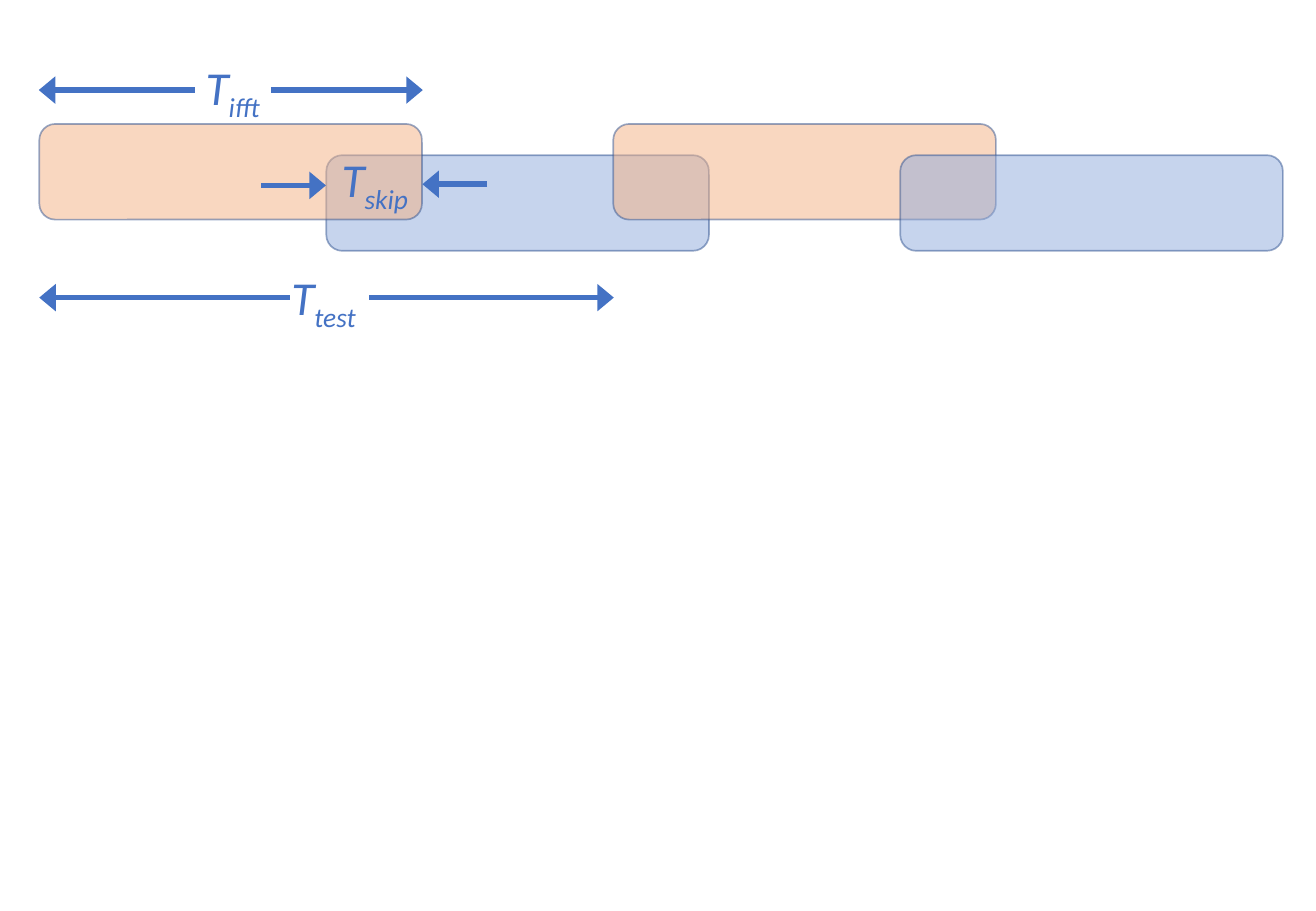
"""Build a timing diagram of four overlapping test windows."""
from lxml import etree
from pptx import Presentation
from pptx.dml.color import RGBColor
from pptx.enum import shapes, text
from pptx.oxml import ns
from pptx.util import Pt

BLUE = "4472C4"
OUTLINE = "325491"
WINDOW_WIDTH, WINDOW_HEIGHT = 226.8, 56.7
FIRST_LEFT, WINDOW_STEP = 23.3, 170.1
ORANGE_ROW = (73.5, "F4B183")
BLUE_ROW = (92, "8FAADC")


def paint(color_format, color):
    color_format.rgb = RGBColor.from_string(color)


def make_half_transparent(fill_parent):
    color = fill_parent.find(ns.qn("a:solidFill")).find(ns.qn("a:srgbClr"))
    etree.SubElement(color, ns.qn("a:alpha"), val="50000")


presentation = Presentation()
presentation.slide_width, presentation.slide_height = Pt(780), Pt(540)
slide = presentation.slides.add_slide(presentation.slide_layouts[6])

for position in (1, 2, 0, 3):
    top, color = BLUE_ROW if position % 2 else ORANGE_ROW
    window = slide.shapes.add_shape(
        shapes.MSO_SHAPE.ROUNDED_RECTANGLE,
        Pt(FIRST_LEFT + position * WINDOW_STEP), Pt(top),
        Pt(WINDOW_WIDTH), Pt(WINDOW_HEIGHT))
    window.shadow.inherit = False
    window.fill.solid()
    paint(window.fill.fore_color, color)
    window.line.width = Pt(1)
    window.line.fill.solid()
    paint(window.line.fill.fore_color, OUTLINE)
    properties = window._element.spPr
    make_half_transparent(properties)
    make_half_transparent(properties.find(ns.qn("a:ln")))

arrows = [
    (115.4, 23, 53.4),
    (160.6, 250.6, 53.4),
    (288.7, 250.4, 109.2),
    (154.8, 193.2, 109.9),
    (171.8, 23.3, 176.4),
    (218.9, 363.8, 176.4),
]
for start, tip, y in arrows:
    arrow = slide.shapes.add_connector(
        shapes.MSO_CONNECTOR.STRAIGHT, Pt(start), Pt(y), Pt(tip), Pt(y))
    arrow.line.width = Pt(3.25)
    paint(arrow.line.color, BLUE)
    properties = arrow._element.spPr
    etree.SubElement(properties.find(ns.qn("a:ln")), ns.qn("a:tailEnd"), type="triangle", w="lg")
    etree.SubElement(properties, ns.qn("a:effectLst"))

labels = [
    ("ifft", 114.9, 31.1, 50.4),
    ("skip", 195.4, 85.6, 56.2),
    ("test", 165.6, 155.5, 56.9),
]
for subscript, left, top, width in labels:
    label = slide.shapes.add_textbox(Pt(left), Pt(top), Pt(width), Pt(41))
    frame = label.text_frame
    frame.word_wrap = False
    frame.auto_size = text.MSO_AUTO_SIZE.SHAPE_TO_FIT_TEXT
    paragraph = frame.paragraphs[0]
    for content, baseline in (("T", 0), (subscript, -25000)):
        run = paragraph.add_run()
        run.text = content
        run.font.name = "Calibri"
        run.font.size = Pt(28)
        run.font.italic = True
        paint(run.font.color, BLUE)
        if baseline:
            run._r.get_or_add_rPr().set("baseline", str(baseline))

presentation.save("out.pptx")
